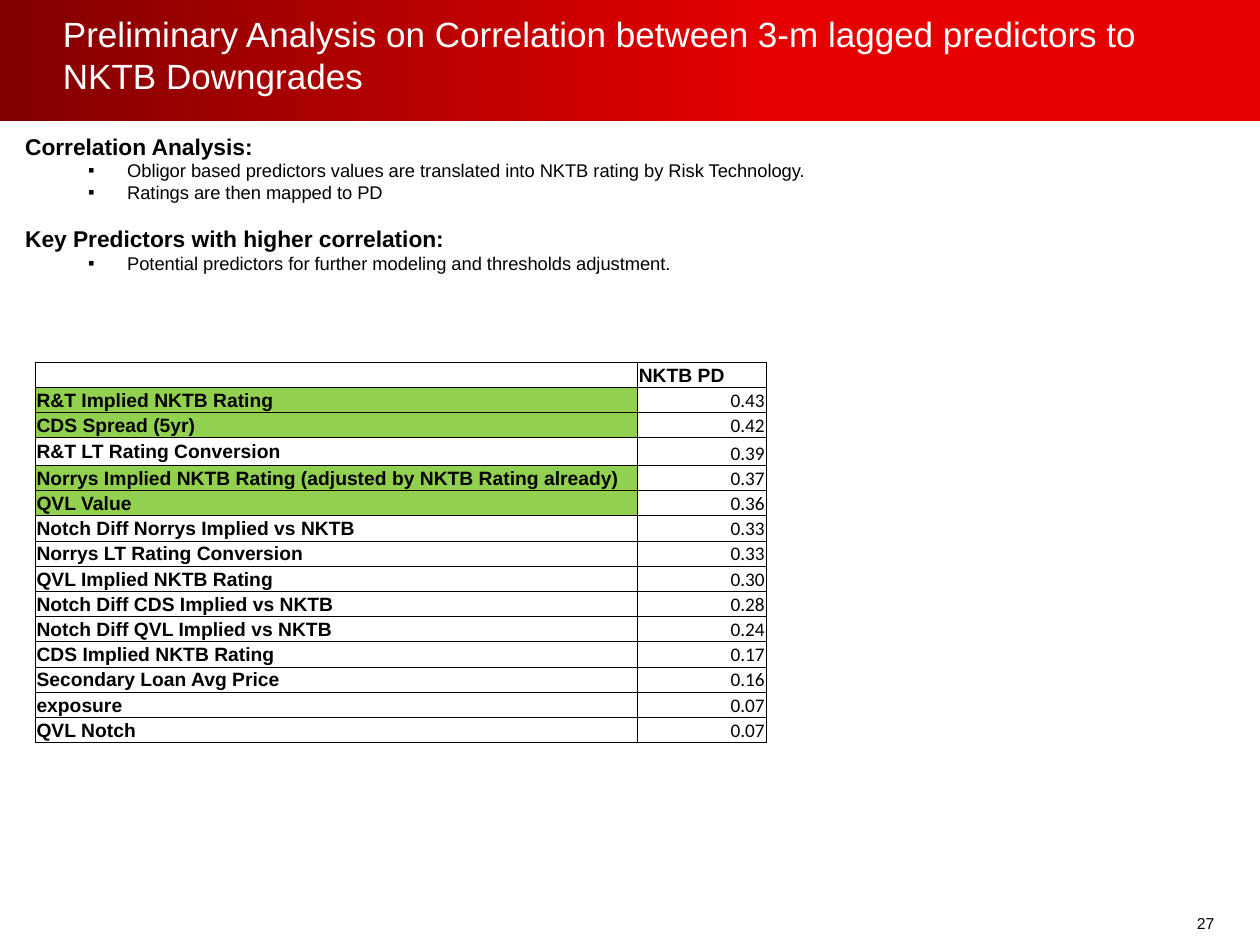
from lxml.etree import SubElement as Sub
from pptx import Presentation
from pptx.dml.color import RGBColor as RGB
from pptx.enum.shapes import MSO_SHAPE as Shape
from pptx.enum.text import MSO_ANCHOR as Anchor, PP_ALIGN as Align
from pptx.oxml.ns import qn
from pptx.util import Inches, Pt

BLACK = RGB(0, 0, 0)
WHITE = RGB(255, 255, 255)
MAROON = RGB(0x82, 0, 0)
RED = RGB(0xE6, 0, 0)
GREEN = RGB(0x92, 0xD0, 0x50)

TITLE = "Preliminary Analysis on Correlation between 3-m lagged predictors to NKTB Downgrades"
NOTES = [
    ("Correlation Analysis:", [
        "Obligor based predictors values are translated into NKTB rating by Risk Technology.",
        "Ratings are then mapped to PD"]),
    ("Key Predictors with higher correlation:", [
        "Potential predictors for further modeling and thresholds adjustment."]),
]
ROWS = [
    ("R&T Implied NKTB Rating", "0.43"),
    ("CDS Spread (5yr)", "0.42"),
    ("R&T LT Rating Conversion", "0.39"),
    ("Norrys Implied NKTB Rating (adjusted by NKTB Rating already)", "0.37"),
    ("QVL Value", "0.36"),
    ("Notch Diff Norrys Implied vs NKTB", "0.33"),
    ("Norrys LT Rating Conversion", "0.33"),
    ("QVL Implied NKTB Rating", "0.30"),
    ("Notch Diff CDS Implied vs NKTB", "0.28"),
    ("Notch Diff QVL Implied vs NKTB", "0.24"),
    ("CDS Implied NKTB Rating", "0.17"),
    ("Secondary Loan Avg Price", "0.16"),
    ("exposure", "0.07"),
    ("QVL Notch", "0.07"),
]
KEYS = {1, 2, 4, 5}


class Deck:
    """Style and current slide, laid out on a grid of 100 columns by 75 rows."""

    def __init__(self):
        self.show = Presentation()
        self.show.slide_width, self.show.slide_height = Inches(10), Inches(7.5)
        self.slide = self.show.slides.add_slide(self.show.slide_layouts[6])

    def grid(self, *cells):
        return [Inches(cell / 10) for cell in cells]

    def style(self, para, size, color=BLACK, bold=False, face="Arial"):
        font = para.font
        font.name, font.size, font.bold = face, Pt(size), bold
        font.color.rgb = color

    def band(self, *box):
        band = self.slide.shapes.add_shape(Shape.RECTANGLE, *self.grid(*box))
        band.shadow.inherit = False
        band.line.fill.background()
        band.fill.gradient()
        band.fill.gradient_angle = 0
        for stop, color, spot in zip(band.fill.gradient_stops, (MAROON, RED), (0, 0.62)):
            stop.color.rgb, stop.position = color, spot

    def frame(self, *box, wrap=True):
        frame = self.slide.shapes.add_textbox(*self.grid(*box)).text_frame
        frame.margin_left = frame.margin_right = frame.margin_top = frame.margin_bottom = 0
        frame.word_wrap = wrap
        return frame

    def line(self, text, size, *box, color=BLACK, wrap=True, pitch=None):
        para = self.frame(*box, wrap=wrap).paragraphs[0]
        para.text = text
        para.line_spacing = pitch
        self.style(para, size, color)

    def notes(self, groups, *box):
        frame = self.frame(*box)
        for spot, (head, points) in enumerate(groups):
            para = frame.add_paragraph() if spot else frame.paragraphs[0]
            para.text = head
            para.space_before = Pt(12 if spot else 0)
            self.style(para, 13, bold=True)
            for point in points:
                para = frame.add_paragraph()
                para.text = point
                self.style(para, 10.5)
                self.bullet(para)

    def bullet(self, para):
        props = para._p.get_or_add_pPr()
        props.set("marL", str(Inches(0.81)))
        props.set("indent", str(Inches(-0.31)))
        Sub(props, qn("a:buFont")).set("typeface", "Arial")
        Sub(props, qn("a:buChar")).set("char", "▪")

    def border(self, cell):
        props = cell._tc.get_or_add_tcPr()
        for side in "LRTB":
            edge = Sub(props, qn("a:ln" + side), w=str(Pt(0.5)))
            Sub(Sub(edge, qn("a:solidFill")), qn("a:srgbClr"), val=str(BLACK))

    def cell(self, cell, text, fill=None, value=False):
        cell.margin_left = cell.margin_right = cell.margin_top = Inches(0.01)
        cell.margin_bottom = 0
        cell.vertical_anchor = Anchor.BOTTOM if value else Anchor.MIDDLE
        self.border(cell)
        if fill is None:
            cell.fill.background()
        else:
            cell.fill.solid()
            cell.fill.fore_color.rgb = fill
        para = cell.text_frame.paragraphs[0]
        para.text = text
        para.alignment = Align.RIGHT if value else Align.LEFT
        self.style(para, 11, bold=not value, face="Calibri" if value else "Arial")

    def table(self, rows, keys, left, top, widths, heights):
        box = self.grid(left, top, sum(widths), sum(heights))
        table = self.slide.shapes.add_table(len(rows), len(widths), *box).table
        table.first_row = table.horz_banding = False
        for col, width in zip(table.columns, self.grid(*widths)):
            col.width = width
        for row, height in zip(table.rows, self.grid(*heights)):
            row.height = height
        for spot, (name, value) in enumerate(rows):
            self.cell(table.cell(spot, 0), name, GREEN if spot in keys else None)
            self.cell(table.cell(spot, 1), value, value=spot > 0)


deck = Deck()
deck.band(0, 0, 100, 9.6)
deck.line(TITLE, 20, 5, 1, 90, 7.6, color=WHITE, pitch=Pt(24))
deck.notes(NOTES, 2, 10.5, 91.7, 13.6)
deck.table([("", "NKTB PD")] + ROWS, KEYS, 2.8, 28.8, (47.8, 10.2),
           [1.75] + [2.2 if spot == 3 else 2 for spot in range(1, len(ROWS) + 1)])
deck.line("27", 9, 95, 72.5, 2, 2, wrap=False)
deck.show.save("out.pptx")
